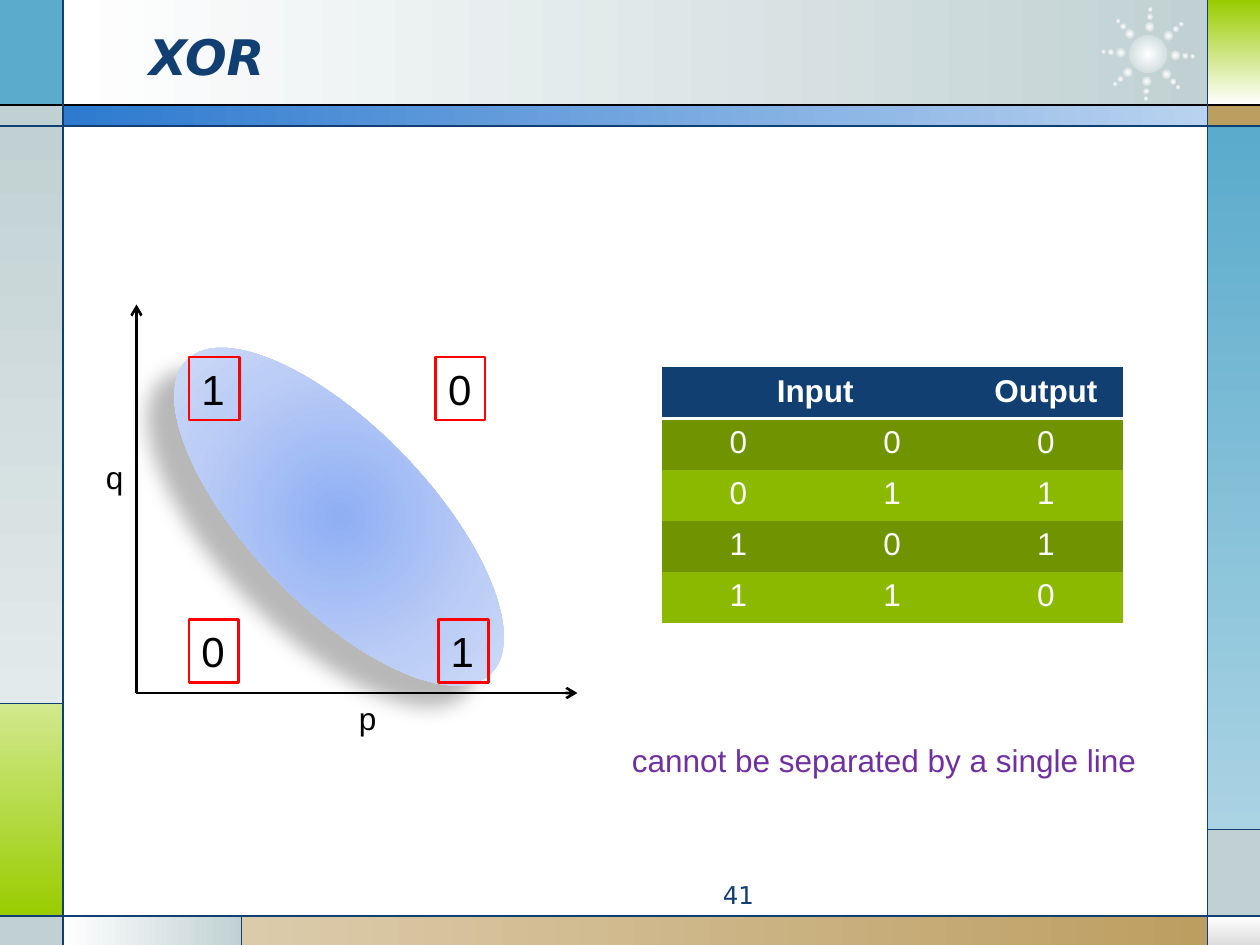
"""Build the XOR slide on a grid of twelve cells to the inch."""
from math import cos, pi, sin
from typing import NamedTuple, Optional

from lxml.etree import SubElement
from pptx import Presentation
from pptx.dml.color import RGBColor
from pptx.enum.shapes import MSO_CONNECTOR as Connector, MSO_SHAPE as Shape
from pptx.enum.text import MSO_ANCHOR as Anchor, MSO_AUTO_SIZE as AutoSize, PP_ALIGN as Align
from pptx.oxml import parse_xml
from pptx.oxml.ns import nsdecls, qn
from pptx.util import Inches, Pt

COLUMNS, ROWS = 120, 90
LEFT, RIGHT = 6, 115
HEADER, BAND, FOOTER = 10, 12, 87.25
LEFT_SPLIT, RIGHT_SPLIT, FOOTER_SPLIT = 67, 79, 23
ORIGIN = (13, 66)
NO_STYLE = "{2D5ABB26-0587-4C30-8999-92F81FD0307C}"

WHITE = RGBColor(0xFF, 0xFF, 0xFF)
BLACK = RGBColor(0x00, 0x00, 0x00)
RED = RGBColor(0xFF, 0x00, 0x00)
NAVY = RGBColor(0x11, 0x3F, 0x71)
PURPLE = RGBColor(0x70, 0x30, 0xA0)
GREY = RGBColor(0xC1, 0xD1, 0xD3)
PALE_GREY = RGBColor(0xE3, 0xEA, 0xEB)
SILVER = RGBColor(0xDD, 0xDD, 0xDD)
SKY = RGBColor(0x5A, 0xAB, 0xCC)
PALE_SKY = RGBColor(0xAA, 0xD3, 0xE4)
LIME = RGBColor(0x99, 0xCC, 0x00)
PALE_LIME = RGBColor(0xD1, 0xE9, 0x8E)
TAN = RGBColor(0xBD, 0x9E, 0x61)
PALE_TAN = RGBColor(0xDC, 0xCB, 0xAB)
BLUE = RGBColor(0x2D, 0x7A, 0xCF)
PALE_BLUE = RGBColor(0xB9, 0xD2, 0xEF)
DARK_ROW = RGBColor(0x6F, 0x94, 0x00)
LIGHT_ROW = RGBColor(0x8A, 0xB9, 0x00)
OVAL_BLUES = [RGBColor(0x8F, 0xAF, 0xF4), RGBColor(0xBC, 0xCD, 0xF6), RGBColor(0xDE, 0xE6, 0xFA)]


class Panel(NamedTuple):
    """A frame rectangle between two grid corners."""
    left: float
    top: float
    right: float
    bottom: float
    colors: list
    angle: int = 0


class Label(NamedTuple):
    """A text box placed on the grid."""
    text: str
    left: float
    top: float
    width: float
    height: float
    size: int = 18
    color: RGBColor = BLACK
    outline: Optional[RGBColor] = None
    font: str = "Arial"
    align: Align = Align.LEFT


PANELS = [
    Panel(LEFT, 0, RIGHT, HEADER, [WHITE, GREY]),
    Panel(0, 0, LEFT, HEADER, [SKY]),
    Panel(0, HEADER, LEFT, BAND, [GREY]),
    Panel(0, BAND, LEFT, LEFT_SPLIT, [GREY, PALE_GREY], 90),
    Panel(0, LEFT_SPLIT, LEFT, FOOTER, [PALE_LIME, LIME], 90),
    Panel(0, FOOTER, LEFT, ROWS, [GREY]),
    Panel(LEFT, FOOTER, FOOTER_SPLIT, ROWS, [WHITE, GREY]),
    Panel(FOOTER_SPLIT, FOOTER, RIGHT, ROWS, [PALE_TAN, TAN]),
    Panel(RIGHT, FOOTER, COLUMNS, ROWS, [WHITE, SILVER], 90),
    Panel(RIGHT, RIGHT_SPLIT, COLUMNS, FOOTER, [GREY]),
    Panel(RIGHT, BAND, COLUMNS, RIGHT_SPLIT, [SKY, PALE_SKY], 90),
    Panel(RIGHT, HEADER, COLUMNS, BAND, [TAN]),
    Panel(RIGHT, 0, COLUMNS, HEADER, [LIME, WHITE], 90),
    Panel(LEFT, HEADER, RIGHT, BAND, [BLUE, PALE_BLUE]),
]
RULES = [
    (0, BAND, COLUMNS, BAND), (0, FOOTER, COLUMNS, FOOTER),
    (LEFT, 0, LEFT, ROWS), (RIGHT, 0, RIGHT, ROWS),
    (LEFT, LEFT_SPLIT, 0, LEFT_SPLIT), (FOOTER_SPLIT, FOOTER, FOOTER_SPLIT, ROWS),
    (RIGHT, RIGHT_SPLIT, COLUMNS, RIGHT_SPLIT),
]
LABELS = [
    Label("0", 18, 59, 4.7, 6, 24, outline=RED),
    Label("0", 41.5, 34, 4.7, 6, 24, outline=RED),
    Label("1", 18, 34, 4.8, 6, 24, outline=RED),
    Label("1", 41.75, 59, 4.8, 6, 24, outline=RED),
    Label("p", 33, 66, 4, 4.8),
    Label("q", 8.9, 43, 4, 4.8),
    Label("cannot be separated by a single line", 59, 70, 50.9, 4.8, color=PURPLE),
    Label("41", 45, 83.2, 28, 3.2, 14, NAVY, font="DejaVu Sans", align=Align.RIGHT),
]
TRUTH_TABLE = [("Input", "", "Output"), "000", "011", "101", "110"]


def cells(count: float) -> int:
    """Return the length of a number of grid cells."""
    return Inches(count / 12)


def paint(shape, colors: list, angle: Optional[int] = None) -> None:
    """Fill a shape plainly, along an angle, or outwards when no angle is given."""
    shape.shadow.inherit = False
    shape.line.fill.background()
    if len(colors) == 1:
        shape.fill.solid()
        shape.fill.fore_color.rgb = colors[0]
        return
    step = 100000 // (len(colors) - 1)
    stops = "".join(f'<a:gs pos="{index * step}"><a:srgbClr val="{color}"/></a:gs>'
                    for index, color in enumerate(colors))
    course = (f'<a:lin ang="{angle * 60000}" scaled="0"/>' if angle is not None else
              '<a:path path="circle"><a:fillToRect l="50000" t="50000" r="50000" b="50000"/></a:path>')
    gradient = parse_xml(f'<a:gradFill {nsdecls("a")} rotWithShape="1">'
                         f'<a:gsLst>{stops}</a:gsLst>{course}</a:gradFill>')
    shape.element.spPr.find(qn("a:prstGeom")).addnext(gradient)


def add_panel(slide, panel: Panel) -> None:
    """Draw one frame rectangle."""
    shape = slide.shapes.add_shape(
        Shape.RECTANGLE, cells(panel.left), cells(panel.top),
        cells(panel.right - panel.left), cells(panel.bottom - panel.top))
    paint(shape, panel.colors, panel.angle)


def add_oval(slide, center: tuple, width: float, height: float, colors: list):
    """Draw an ellipse with an outward gradient around its center."""
    shape = slide.shapes.add_shape(
        Shape.OVAL, cells(center[0] - width / 2), cells(center[1] - height / 2),
        cells(width), cells(height))
    paint(shape, colors)
    return shape


def add_sunburst(slide, center: tuple) -> None:
    """Draw a round core with eight rays of shrinking dots."""
    add_oval(slide, center, 3.6, 3.6, [WHITE, GREY])
    for ray in range(8):
        angle = ray * pi / 4 + 0.05
        for radius, size in ((2.6, 0.9), (3.55, 0.57), (4.25, 0.42)):
            dot = (center[0] + radius * cos(angle), center[1] + radius * sin(angle))
            add_oval(slide, dot, size, size, [WHITE, GREY])


def add_line(slide, ends: tuple, color: RGBColor, width: float, arrow: bool = False) -> None:
    """Draw a straight line, with an open arrowhead if asked."""
    line = slide.shapes.add_connector(Connector.STRAIGHT, *map(cells, ends))
    line.line.color.rgb = color
    line.line.width = Pt(width)
    if arrow:
        SubElement(line.line._get_or_add_ln(), qn("a:tailEnd"), type="arrow")
    SubElement(line.element.spPr, qn("a:effectLst"))


def add_label(slide, label: Label) -> None:
    """Draw one text box."""
    box = slide.shapes.add_textbox(*map(cells, label[1:5]))
    frame = box.text_frame
    frame.text = label.text
    frame.word_wrap = label.align == Align.RIGHT
    frame.auto_size = AutoSize.NONE if frame.word_wrap else AutoSize.SHAPE_TO_FIT_TEXT
    paragraph = frame.paragraphs[0]
    paragraph.alignment = label.align
    style_font(paragraph.font, label.font, label.size, label.color)
    if label.outline is not None:
        box.line.color.rgb = label.outline
        box.line.width = Pt(1.5)


def style_font(font, name: str, size: int, color: RGBColor, bold: bool = False) -> None:
    """Set the face, size, colour and weight of a font."""
    font.name, font.size, font.bold = name, Pt(size), bold
    font.color.rgb = color


def add_truth_table(slide) -> None:
    """Draw the table of inputs and outputs."""
    table = slide.shapes.add_table(5, 3, cells(63), cells(35), cells(43.95), cells(24.35)).table
    table.first_row = table.horz_banding = False
    table._tbl.tblPr.find(qn("a:tableStyleId")).text = NO_STYLE
    table.cell(0, 0).merge(table.cell(0, 1))
    for row, values in enumerate(TRUTH_TABLE):
        for column, value in enumerate(values):
            cell = table.cell(row, column)
            cell.text = value
            paragraph = cell.text_frame.paragraphs[0]
            paragraph.alignment = Align.CENTER
            style_font(paragraph.font, "Arial", 18, WHITE, row == 0)
            if row == 0:
                cell._tc.get_or_add_tcPr().append(parse_xml(
                    f'<a:lnB {nsdecls("a")} w="{Pt(2)}"><a:solidFill>'
                    f'<a:srgbClr val="{WHITE}"/></a:solidFill></a:lnB>'))
            cell.fill.solid()
            cell.fill.fore_color.rgb = NAVY if row == 0 else (LIGHT_ROW, DARK_ROW)[row % 2]


def add_title(slide) -> None:
    """Place the title above the frame."""
    title = slide.shapes.title
    title.element.getparent().append(title.element)
    title.left, title.top, title.width, title.height = map(cells, (13, 1.6, 88, 7.5))
    title.text_frame.text = "XOR"
    title.text_frame.vertical_anchor = Anchor.MIDDLE
    paragraph = title.text_frame.paragraphs[0]
    paragraph.alignment = Align.LEFT
    style_font(paragraph.font, "DejaVu Sans", 28, NAVY, True)
    paragraph.font.italic = True


def add_cluster(slide) -> None:
    """Draw the tilted oval that holds both ones, with its soft shadow."""
    oval = add_oval(slide, (32.3, 49.2), 41.6, 17, OVAL_BLUES)
    oval.rotation = 226
    effects = oval.element.spPr.find(qn("a:effectLst"))
    effects.append(parse_xml(
        f'<a:outerShdw {nsdecls("a")} blurRad="{Pt(11.8)}" dist="{Pt(19.7)}" dir="{141 * 60000}"'
        f' rotWithShape="0"><a:srgbClr val="{BLACK}"><a:alpha val="28000"/></a:srgbClr></a:outerShdw>'))


def main() -> None:
    """Build and save the slide."""
    presentation = Presentation()
    presentation.slide_width, presentation.slide_height = cells(COLUMNS), cells(ROWS)
    slide = presentation.slides.add_slide(presentation.slide_layouts[5])
    for panel in PANELS:
        add_panel(slide, panel)
    add_sunburst(slide, (109.35, 5.15))
    add_line(slide, (0, HEADER, COLUMNS, HEADER), BLACK, 0.75)
    for rule in RULES:
        add_line(slide, rule, NAVY, 0.75)
    add_title(slide)
    for tip in ((55, 66), (13, 29)):
        add_line(slide, ORIGIN + tip, BLACK, 1.5, arrow=True)
    add_truth_table(slide)
    add_cluster(slide)
    for label in LABELS:
        add_label(slide, label)
    presentation.save("out.pptx")


if __name__ == "__main__":
    main()
